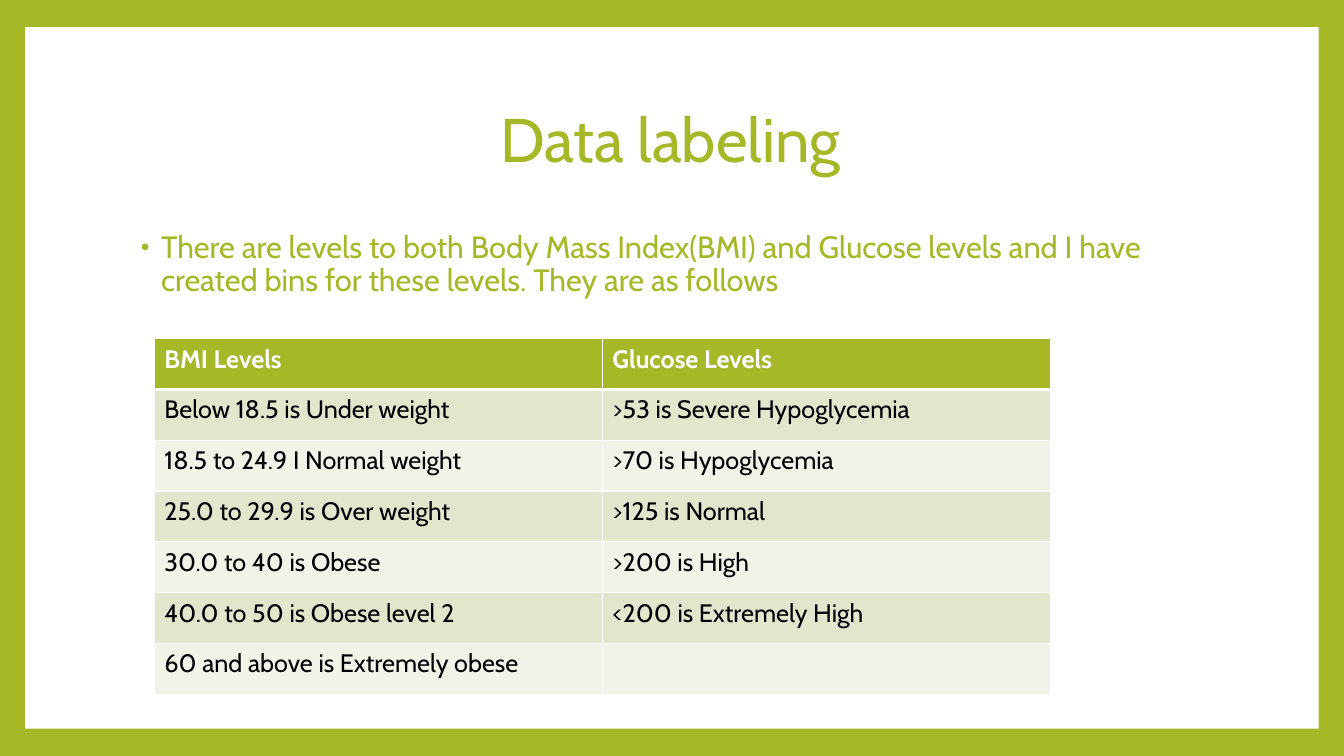
from lxml.etree import SubElement
from pptx import Presentation
from pptx.dml.color import RGBColor
from pptx.enum.shapes import MSO_SHAPE
from pptx.enum.text import MSO_ANCHOR, PP_ALIGN
from pptx.oxml.ns import qn
from pptx.util import Inches, Pt

FONT = "Cabin"
GREEN, WHITE, BLACK = "A6B727", "FFFFFF", "000000"
BANDS = ("E1E6CD", "F1F3E8")
TITLE = "Data labeling"
INTRO = ("There are levels to both Body Mass Index(BMI) and Glucose levels "
         "and I have created bins for these levels. They are as follows")
LEVELS = [
    ("BMI Levels", "Glucose Levels"),
    ("Below 18.5 is Under weight", ">53 is Severe Hypoglycemia"),
    ("18.5 to 24.9 I Normal weight", ">70 is Hypoglycemia"),
    ("25.0 to 29.9 is Over weight", ">125 is Normal"),
    ("30.0 to 40 is Obese", ">200 is High"),
    ("40.0 to 50 is Obese level 2", "<200 is Extremely High"),
    ("60 and above is Extremely obese", ""),
]
WIDTH, HEIGHT = 13.33, 7.5
MARGIN_X, MARGIN_Y = 0.25, 0.27
TEXT_LEFT = 1.25
TEXT_WIDTH = 10.8
TABLE_BOX = (1.53, 3.36, 8.89, 3.53)


def color(value):
    return RGBColor.from_string(value)


def inches(*lengths):
    return [Inches(length) for length in lengths]


def add_run(paragraph, text, size, ink, bold=False):
    run = paragraph.add_run()
    run.text = text
    run.font.name, run.font.size, run.font.bold = FONT, Pt(size), bold
    run.font.color.rgb = color(ink)


def add_text(slide, top, height, text, size, anchor):
    frame = slide.shapes.add_textbox(*inches(TEXT_LEFT, top, TEXT_WIDTH, height)).text_frame
    frame.word_wrap = True
    frame.vertical_anchor = anchor
    paragraph = frame.paragraphs[0]
    paragraph.line_spacing = 0.9
    add_run(paragraph, text, size, GREEN)
    return paragraph


def add_bullet(paragraph):
    props = paragraph._p.get_or_add_pPr()
    props.set("marL", str(Inches(0.25)))
    props.set("indent", str(Inches(-0.2)))
    bullet_color = SubElement(props, qn("a:buClr"))
    SubElement(bullet_color, qn("a:srgbClr"), val=GREEN)
    SubElement(props, qn("a:buSzPct"), val="80000")
    SubElement(props, qn("a:buFont"), typeface="Arial")
    SubElement(props, qn("a:buChar"), char="•")


def add_borders(cell, widths):
    props = cell._tc.get_or_add_tcPr()
    for position, (side, width) in enumerate(widths.items()):
        line = SubElement(props, qn(f"a:ln{side}"), w=str(Pt(width)))
        fill = SubElement(line, qn("a:solidFill"))
        SubElement(fill, qn("a:srgbClr"), val=WHITE)
        props.insert(position, line)  # borders come before the cell fill


prs = Presentation()
prs.slide_width, prs.slide_height = inches(WIDTH, HEIGHT)
slide = prs.slides.add_slide(prs.slide_layouts[6])

# Green frame around a white page
slide.background.fill.solid()
slide.background.fill.fore_color.rgb = color(GREEN)
page = slide.shapes.add_shape(MSO_SHAPE.RECTANGLE, *inches(
    MARGIN_X, MARGIN_Y, WIDTH - 2 * MARGIN_X, HEIGHT - 2 * MARGIN_Y))
page.shadow.inherit = False
page.fill.solid()
page.fill.fore_color.rgb = color(WHITE)
page.line.fill.background()

# Title and introduction
title = add_text(slide, 0.67, 1.48, TITLE, 44, MSO_ANCHOR.MIDDLE)
title.alignment = PP_ALIGN.CENTER
intro = add_text(slide, 2.25, 0.89, INTRO, 22, MSO_ANCHOR.TOP)
intro.space_before = Pt(14)
add_bullet(intro)

# Table of levels
levels = slide.shapes.add_table(len(LEVELS), len(LEVELS[0]), *inches(*TABLE_BOX)).table
for r, row in enumerate(LEVELS):
    header = r == 0
    for c, label in enumerate(row):
        cell = levels.cell(r, c)
        cell.fill.solid()
        cell.fill.fore_color.rgb = color(GREEN if header else BANDS[(r - 1) % 2])
        if label:
            add_run(cell.text_frame.paragraphs[0], label, 18,
                    WHITE if header else BLACK, header)
        add_borders(cell, {"L": 1, "R": 1, "T": 3 if r == 1 else 1, "B": 3 if header else 1})

prs.save("out.pptx")
